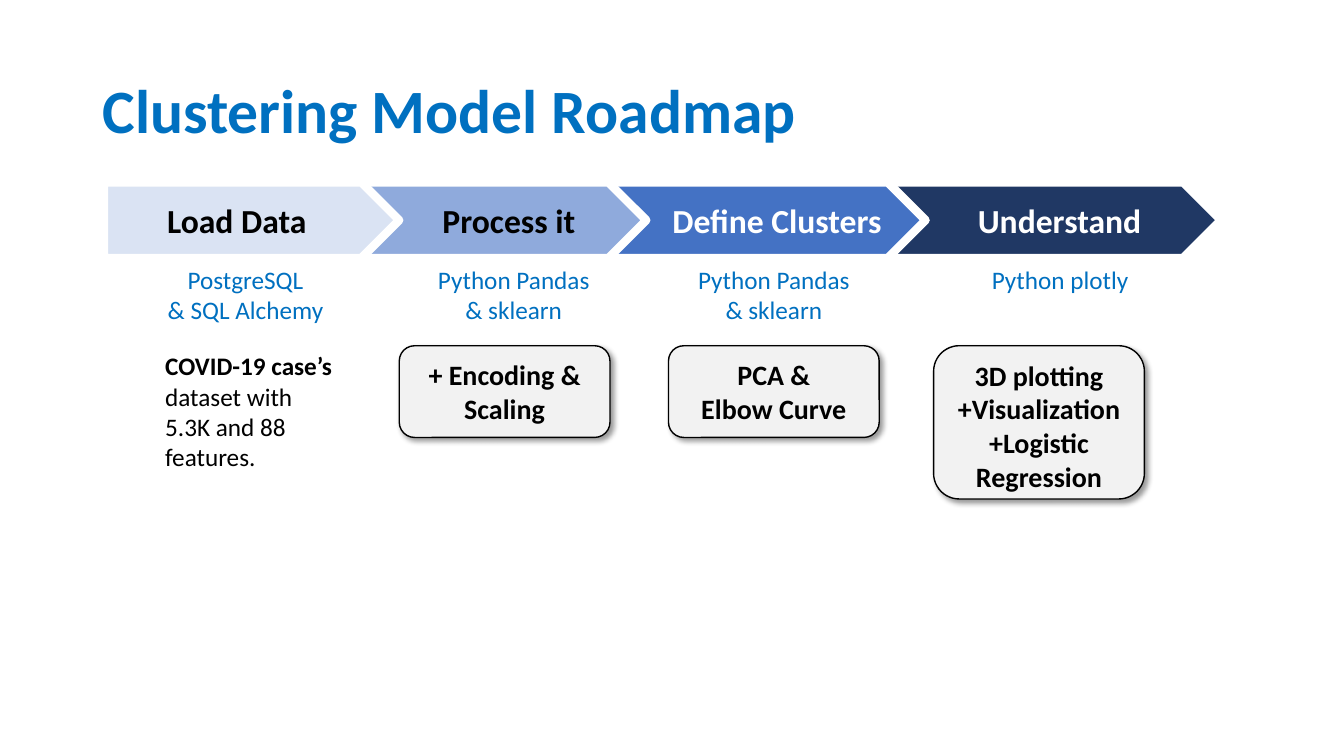
from lxml import etree
from pptx import Presentation
from pptx.dml.color import RGBColor as Rgb
from pptx.enum.shapes import MSO_SHAPE as Kind
from pptx.enum.text import MSO_ANCHOR as Anchor, PP_ALIGN as Align
from pptx.oxml.ns import qn
from pptx.util import Inches, Pt

# Content
INK = {"blue": "0070C0", "black": "000000", "white": "FFFFFF", "box": "F2F2F2",
       "pale": "DAE3F3", "light": "8FAADC", "mid": "4472C4", "navy": "203864"}
TITLE = "Clustering Model Roadmap"
DATA = [("COVID-19 case’s ", True), ("dataset with 5.3K and 88 features.", False)]
# Step, text colour, left, width; band colour, left, right
STEPS = [
    ("Load Data", "black", 1.56, 1.91, "pale", 1.03, 3.96),
    ("Process it", "black", 4.29, 1.91, "light", 1.03, 6.41),
    ("Define Clusters", "white", 6.57, 2.52, "mid", 1.13, 9.18),
    ("Understand", "white", 9.6, 2.33, "navy", 1.07, 12.11),
]
# Tools: left, lines
TOOLS = [
    (1.48, ["PostgreSQL", "& SQL Alchemy"]),
    (4.14, ["Python Pandas & sklearn"]),
    (6.72, ["Python Pandas & sklearn"]),
    (9.56, ["Python plotly"]),
]
# Tasks: left, height, anchor, lines
TASKS = [
    (3.96, 0.91, Anchor.MIDDLE, ["+ Encoding & Scaling"]),
    (6.63, 0.91, Anchor.MIDDLE, ["PCA &", "Elbow Curve"]),
    (9.26, 1.52, Anchor.TOP, ["3D plotting", "+Visualization", "+Logistic Regression"]),
]

# Rows and shared sizes, in inches
BAND, TOOL, TASK = 1.81, 2.57, 3.43
HIGH, LABEL, COL, BOX = 0.75, 0.5, 1.91, 2.09

deck = Presentation()
deck.slide_width, deck.slide_height = Inches(13.33), Inches(7.5)
slide = deck.slides.add_slide(deck.slide_layouts[6])


def write(shape, paras, size, ink, align=Align.LEFT, anchor=Anchor.TOP):
    """Fill a shape with paragraphs, each a list of (text, bold) runs."""
    frame = shape.text_frame
    frame.word_wrap = True
    frame.vertical_anchor = anchor
    for i, runs in enumerate(paras):
        para = frame.add_paragraph() if i else frame.paragraphs[0]
        para.alignment = align
        for text, bold in runs:
            run = para.add_run()
            run.text = text
            font = run.font
            font.name, font.size, font.bold = "Calibri", Pt(size), bold
            font.color.rgb = Rgb.from_string(INK[ink])
    return frame


def label(x, y, w, h, *args, **opts):
    area = slide.shapes.add_textbox(*map(Inches, (x, y, w, h)))
    return write(area, *args, **opts)


def block(kind, x, y, w, h, fill, line, width):
    shape = slide.shapes.add_shape(kind, *map(Inches, (x, y, w, h)))
    shape.shadow.inherit = False
    shape.fill.solid()
    shape.fill.fore_color.rgb = Rgb.from_string(INK[fill])
    shape.line.color.rgb = Rgb.from_string(INK[line])
    shape.line.width = Pt(width)
    return shape


def shade(shape):
    """Drop shadow to the lower right."""
    effects = shape.element.spPr.find(qn("a:effectLst"))
    outer = etree.SubElement(effects, qn("a:outerShdw"), blurRad=str(Pt(4)),
                             dist=str(Pt(3)), dir="2700000", algn="tl", rotWithShape="0")
    tint = etree.SubElement(outer, qn("a:srgbClr"), val=INK["black"])
    etree.SubElement(tint, qn("a:alpha"), val="40000")


# Title
head = label(0.92, 0.4, 11.5, 1.45, [[(TITLE, True)]], 44, "blue", anchor=Anchor.MIDDLE)
head.paragraphs[0].line_spacing = 0.9

# Arrow band: the longest lies at the back
for *_, fill, left, right in reversed(STEPS):
    block(Kind.PENTAGON, left, BAND, right - left, HIGH, fill, "white", 6)
for name, ink, x, w, *_ in STEPS:
    label(x, BAND + (HIGH - LABEL) / 2, w, LABEL, [[(name, True)]], 24, ink,
          anchor=Anchor.MIDDLE)

# Tools under each step
for x, lines in TOOLS:
    label(x, TOOL, COL, 0.71, [[(t, False)] for t in lines], 18, "blue", Align.CENTER)

# Data note and task boxes
label(1.54, TASK, COL, 1.31, [DATA], 18, "black")
for x, h, anchor, lines in TASKS:
    card = block(Kind.ROUNDED_RECTANGLE, x, TASK, BOX, h, "box", "black", 1)
    shade(card)
    write(card, [[(t, True)] for t in lines], 20, "black", Align.CENTER, anchor)

deck.save("out.pptx")
